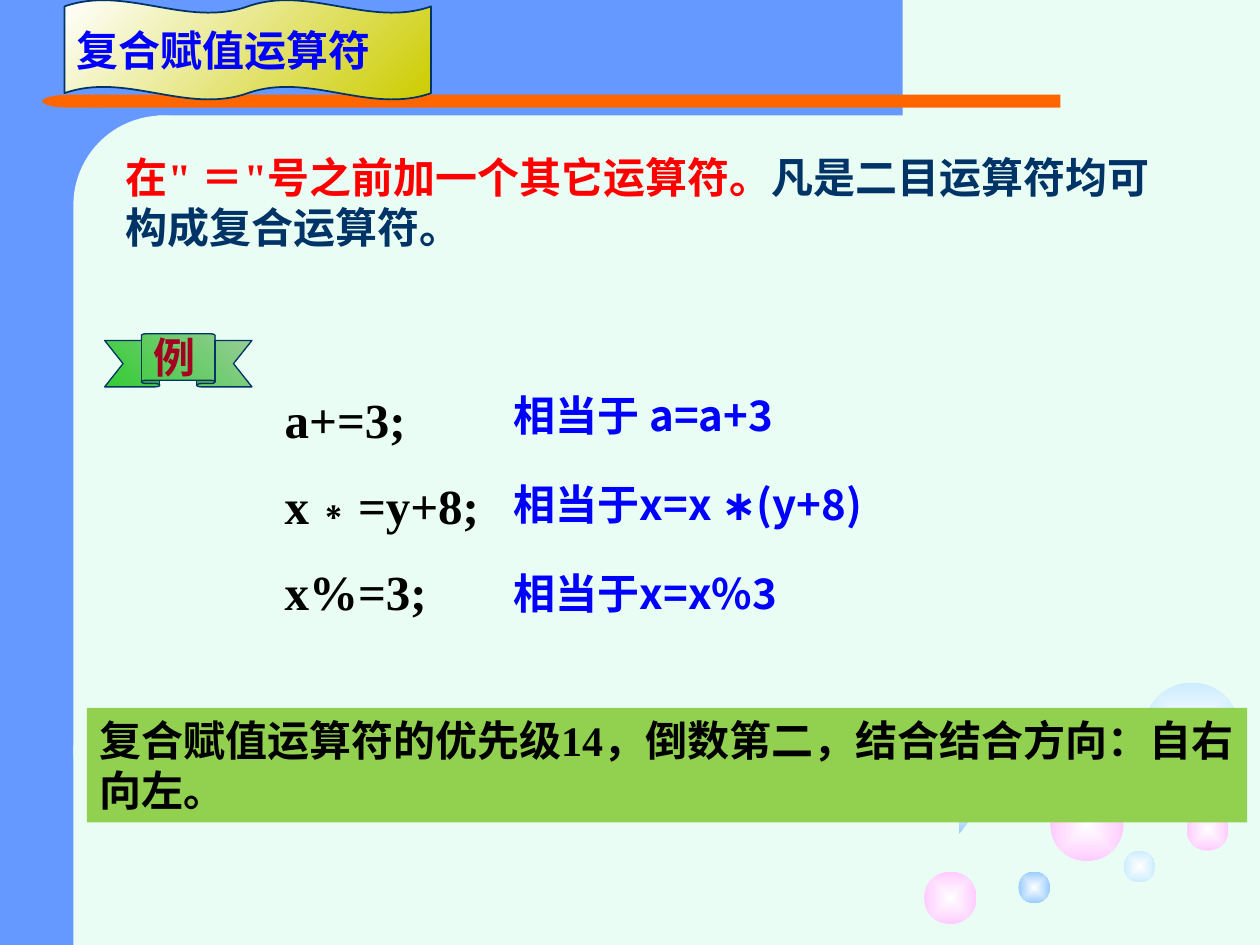
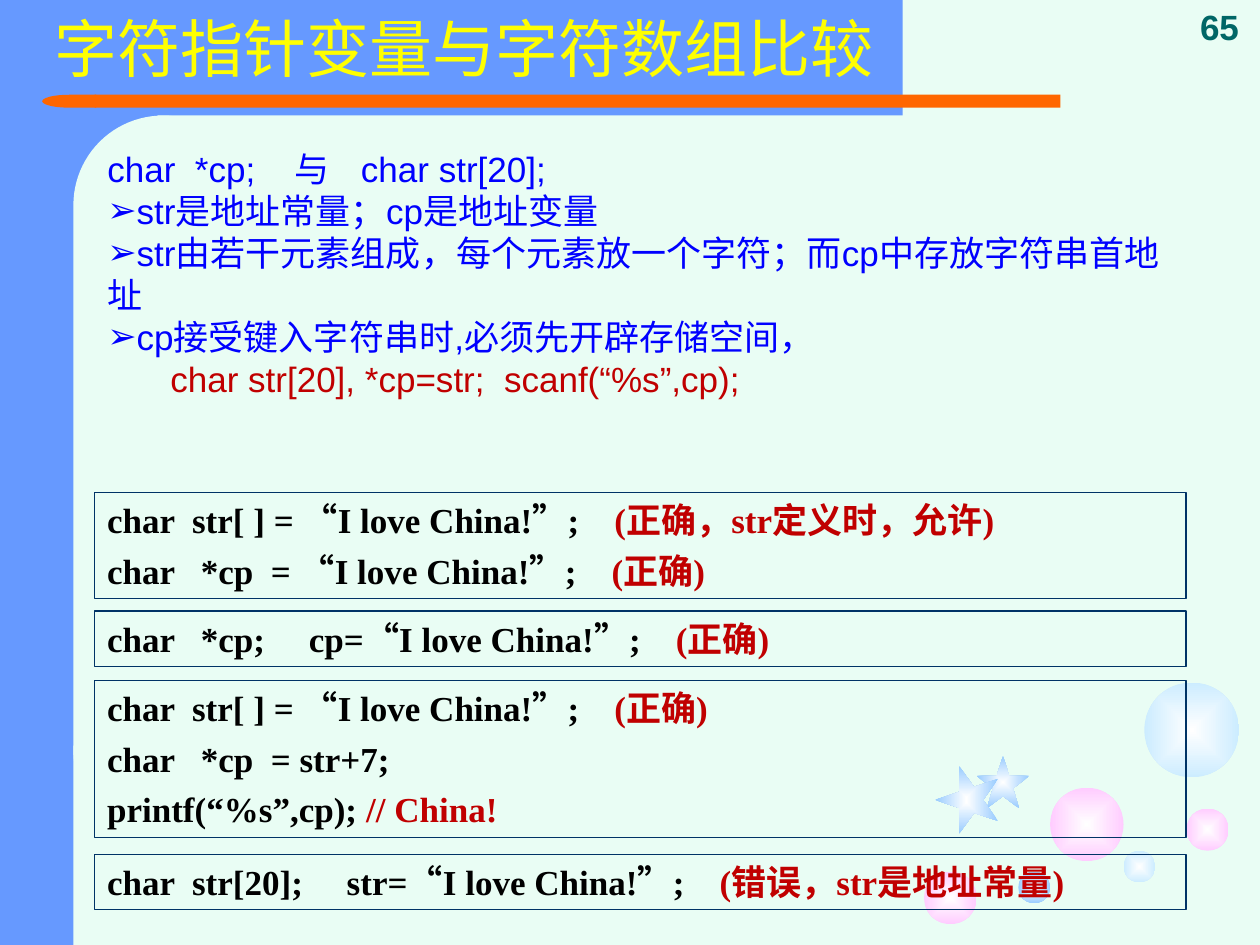
from dataclasses import dataclass

from lxml.etree import SubElement
from pptx import Presentation
from pptx.dml.color import RGBColor
from pptx.enum.shapes import MSO_SHAPE
from pptx.enum.text import MSO_ANCHOR, MSO_AUTO_SIZE, PP_ALIGN
from pptx.oxml.ns import qn
from pptx.util import Cm, Pt


@dataclass(frozen=True)
class TextStyle:
    """Type settings for one kind of text."""
    font: str
    size: int
    colour: str
    bold: bool = True
    gap: float = 0
    line_spacing: float = 1.0
    align: PP_ALIGN = PP_ALIGN.LEFT


class Theme:
    """Colours and type styles of the deck."""
    MINT, BLUE, ORANGE = "E9FDF4", "6699FF", "FF6600"
    WHITE, PINK, PALE, SKY = "FFFFFF", "FFCCFF", "CCECFF", "99CCFF"
    NAVY, RED, DARK_RED = "003366", "FF0000", "C00000"
    GOLD, LEAF, SAGE, LIME = "CCCC00", "33CC33", "99CC99", "92D050"

    TITLE = TextStyle("Arial", 36, "FFFF00", bold=False, line_spacing=0.9)
    BODY = TextStyle("Arial", 20, "0000FF", bold=False)
    NUMBER = TextStyle("Arial", 20, "006666", align=PP_ALIGN.CENTER)
    INTRO = TextStyle("Times New Roman", 24, NAVY)
    BANNER = TextStyle("Times New Roman", 24, "0000FF")
    RIBBON = TextStyle("Lato", 24, "A50021")
    STATEMENT = TextStyle("Times New Roman", 28, "000000", gap=15.5)
    MEANING = TextStyle("Noto Sans CJK SC", 24, "0000FF")
    NOTE = TextStyle("Times New Roman", 24, "000000")
    CODE = TextStyle("Times New Roman", 20, "000000", gap=4.8)


def lengths(box):
    """Turn a box in centimetres into lengths."""
    return [Cm(value) for value in box]


def offset(box, left, top, width, height):
    """Return a part's box placed relative to the corner of another box."""
    return box[0] + left, box[1] + top, width, height


def add_shape(slide, kind, box, fill=None, line=None, line_width=0.75):
    """Add a flat preset shape with an optional fill and outline."""
    shape = slide.shapes.add_shape(kind, *lengths(box))
    shape.shadow.inherit = False
    if fill:
        shape.fill.solid()
        shape.fill.fore_color.rgb = RGBColor.from_string(fill)
    else:
        shape.fill.background()
    if line:
        shape.line.color.rgb = RGBColor.from_string(line)
        shape.line.width = Pt(line_width)
    else:
        shape.line.fill.background()
    return shape


def fill_gradient(shape, start, end, angle=0):
    """Fill a shape with a linear gradient of two colours."""
    shape.fill.gradient()
    shape.fill.gradient_angle = angle
    for stop, colour in zip(shape.fill.gradient_stops, (start, end)):
        stop.color.rgb = RGBColor.from_string(colour)


def fill_glow(shape, colour):
    """Fill a shape with white that deepens to a colour at its edge."""
    fill_gradient(shape, Theme.WHITE, colour)
    gradient = shape.element.spPr.find(qn("a:gradFill"))
    gradient.remove(gradient.find(qn("a:lin")))
    centre = SubElement(gradient, qn("a:path"), {"path": "shape"})
    SubElement(centre, qn("a:fillToRect"), dict.fromkeys("ltrb", "50000"))


def write(frame, paragraphs, style, anchor=MSO_ANCHOR.TOP):
    """Write paragraphs, each a list of strings or (string, colour) pairs."""
    frame.word_wrap = True
    frame.auto_size = MSO_AUTO_SIZE.NONE
    frame.vertical_anchor = anchor
    for index, runs in enumerate(paragraphs):
        paragraph = frame.add_paragraph() if index else frame.paragraphs[0]
        paragraph.alignment = style.align
        paragraph.line_spacing = style.line_spacing
        paragraph.space_before = Pt(style.gap if index else 0)
        font = paragraph.font
        font.name, font.size, font.bold = style.font, Pt(style.size), style.bold
        font.color.rgb = RGBColor.from_string(style.colour)
        for part in runs:
            text, colour = (part, None) if isinstance(part, str) else part
            run = paragraph.add_run()
            run.text = text
            if colour:
                run.font.color.rgb = RGBColor.from_string(colour)


def add_text(slide, box, paragraphs, style, anchor=MSO_ANCHOR.TOP):
    """Add a text box."""
    text_box = slide.shapes.add_textbox(*lengths(box))
    write(text_box.text_frame, paragraphs, style, anchor)


def fill_placeholder(shape, box, paragraphs, style):
    """Move a placeholder and write its text."""
    shape.left, shape.top, shape.width, shape.height = lengths(box)
    write(shape.text_frame, paragraphs, style, MSO_ANCHOR.MIDDLE)


def set_bullet(paragraph, symbol=None, margin=0):
    """Give a paragraph a bullet symbol, or none, and a left margin."""
    properties = paragraph._p.get_or_add_pPr()
    properties.set("marL", str(Cm(margin)))
    properties.set("indent", "0")
    bullet = properties.makeelement(qn("a:buChar" if symbol else "a:buNone"), {})
    if symbol:
        bullet.set("char", symbol)
    properties.find(qn("a:defRPr")).addprevious(bullet)


def draw_frame(slide, box):
    """Draw the blue corner bands and the orange rule."""
    rectangle, rounded = MSO_SHAPE.RECTANGLE, MSO_SHAPE.ROUNDED_RECTANGLE
    for kind, part, colour in (
        (rectangle, (0, 0, 3.18, 19.05), Theme.BLUE),
        (rectangle, (1.27, 0, 16.93, 2.33), Theme.BLUE),
        (rounded, (1.48, 2.33, 3.61, 14.61), Theme.MINT),
        (rectangle, (1.91, 1.91, 19.47, 0.26), Theme.ORANGE),
        (MSO_SHAPE.FLOWCHART_DELAY, (0.85, 1.91, 1.09, 0.26), Theme.ORANGE),
        (rectangle, (1.48, 15.03, 3.61, 4.02), Theme.MINT),
    ):
        shape = add_shape(slide, kind, offset(box, *part), colour)
        if kind == rounded:
            shape.adjustments[0] = 0.5
        elif kind == MSO_SHAPE.FLOWCHART_DELAY:
            shape.rotation = 180


def draw_bubbles(slide, box):
    """Draw the cluster of bubbles and stars."""
    for left, top, size, colour in (
        (2.54, 2.12, 1.48, Theme.PINK),
        (0, 3.81, 1.06, Theme.PINK),
        (4.02, 3.39, 0.64, Theme.PALE),
        (5.29, 2.54, 0.85, Theme.PINK),
        (4.44, 0, 1.91, Theme.PALE),
        (1.9, 3.81, 0.64, Theme.SKY),
    ):
        bubble = add_shape(slide, MSO_SHAPE.OVAL, offset(box, left, top, size, size))
        fill_glow(bubble, colour)
    for part, rotation in (((1.06, 1.48, 1.06, 1.06), 0), ((0.17, 1.73, 1.37, 1.27), 270)):
        star = add_shape(slide, MSO_SHAPE.STAR_5_POINT, offset(box, *part))
        star.rotation = rotation
        fill_glow(star, Theme.SKY)


def move_to_master(slide, master):
    """Move all shapes of a slide behind the placeholders of the master."""
    tree = master.shapes.element
    for index, shape in enumerate(list(slide.shapes)):
        shape.element.nvSpPr.cNvPr.set("id", str(100 + index))
        tree.insert(2 + index, shape.element)


def draw_banner(slide, box, text):
    """Draw the wavy heading banner."""
    wave = add_shape(slide, MSO_SHAPE.DOUBLE_WAVE, box, line=Theme.NAVY, line_width=1)
    wave.adjustments[0] = 0.065
    fill_gradient(wave, Theme.WHITE, Theme.GOLD, 315)
    write(wave.text_frame, [[text]], Theme.BANNER, MSO_ANCHOR.MIDDLE)


def draw_ribbon(slide, box, text):
    """Draw the green ribbon that marks an example."""
    ribbon = add_shape(slide, MSO_SHAPE.UP_RIBBON, box, line=Theme.NAVY)
    ribbon.adjustments[0], ribbon.adjustments[1] = 0.125, 0.5
    fill_gradient(ribbon, Theme.LEAF, Theme.SAGE, 45)
    write(ribbon.text_frame, [[text]], Theme.RIBBON, MSO_ANCHOR.MIDDLE)


def draw_examples(slide, box, examples):
    """Set statements on the left and their meanings on the right."""
    statements = [[statement] for statement, _ in examples]
    add_text(slide, offset(box, 0, 0, 5.13, 5), statements, Theme.STATEMENT)
    for row, (_, meaning) in enumerate(examples):
        part = offset(box, 4.62, 1.8 * row, 9.4, 1.27)
        add_text(slide, part, [[meaning]], Theme.MEANING)


def draw_code_boxes(slide, box, snippets):
    """Draw outlined code boxes whose height follows their line count."""
    for top, lines in snippets:
        part = offset(box, 0, top, box[2], 1.12 + 1.02 * (len(lines) - 1))
        shape = add_shape(slide, MSO_SHAPE.RECTANGLE, part, line=Theme.NAVY)
        write(shape.text_frame, lines, Theme.CODE)


def build_operator_slide(slide):
    """Fill the slide on compound assignment operators."""
    intro = [("在\" ＝\"号之前加一个其它运算符。", Theme.RED), "凡是二目运算符均可构成复合运算符。"]
    add_text(slide, (2.29, 2.92, 21.41, 2.31), [intro], Theme.INTRO)
    draw_banner(slide, (1.3, 0, 7.39, 2.01), "复合赋值运算符")
    draw_ribbon(slide, (2.11, 6.73, 2.97, 1.07), "例")
    draw_examples(slide, (5.49, 7.72, 14.02, 5), (
        ("a+=3;", "相当于 a=a+3"),
        ("x∗=y+8;", "相当于x=x ∗(y+8)"),
        ("x%=3;", "相当于x=x%3"),
    ))
    note = add_shape(slide, MSO_SHAPE.RECTANGLE, (1.75, 14.27, 23.39, 2.31), Theme.LIME)
    text = "复合赋值运算符的优先级14，倒数第二，结合结合方向：自右向左。"
    write(note.text_frame, [[text]], Theme.NOTE)


def build_pointer_slide(slide):
    """Fill the slide comparing character pointers and arrays."""
    title, body = slide.placeholders
    fill_placeholder(title, (0.84, 0, 21.39, 2.11), [["字符指针变量与字符数组比较"]], Theme.TITLE)
    fill_placeholder(body, (1.91, 2.51, 22, 6), [
        ["char  *cp;    与    char str[20];"],
        ["str是地址常量；cp是地址变量"],
        ["str由若干元素组成，每个元素放一个字符；而cp中存放字符串首地址"],
        ["cp接受键入字符串时,必须先开辟存储空间，"],
        [("char str[20], *cp=str;  scanf(“%s”,cp);", Theme.DARK_RED)],
    ], Theme.BODY)
    heading, *points, sample = body.text_frame.paragraphs
    set_bullet(heading)
    for point in points:
        set_bullet(point, "➢")
    sample.level = 1
    set_bullet(sample, margin=1.27)
    add_text(slide, (23.77, 0, 1.63, 1.09), [["65"]], Theme.NUMBER, MSO_ANCHOR.BOTTOM)
    correct = ("(正确)", Theme.DARK_RED)
    array = "char  str[ ] = “I love China!”;    "
    draw_code_boxes(slide, (1.91, 9.93, 22, 8.41), (
        (0, [[array, ("(正确，str定义时，允许)", Theme.DARK_RED)],
             ["char   *cp  = “I love China!”;    ", correct]]),
        (2.39, [["char   *cp;     cp=“I love China!”;    ", correct]]),
        (3.79, [[array, correct],
                ["char   *cp  = str+7;"],
                ["printf(“%s”,cp); ", ("// China!", Theme.DARK_RED)]]),
        (7.29, [["char  str[20];     str=“I love China!”;    ",
                 ("(错误，str是地址常量)", Theme.DARK_RED)]]),
    ))


def main():
    """Build and save the presentation."""
    presentation = Presentation()
    presentation.slide_width, presentation.slide_height = Cm(25.4), Cm(19.05)
    master = presentation.slide_master
    master.background.fill.solid()
    master.background.fill.fore_color.rgb = RGBColor.from_string(Theme.MINT)
    operators = presentation.slides.add_slide(presentation.slide_layouts[6])
    draw_frame(operators, (0, 0, 25.4, 19.05))
    draw_bubbles(operators, (18.63, 13.76, 6.35, 4.87))
    move_to_master(operators, master)
    build_operator_slide(operators)
    build_pointer_slide(presentation.slides.add_slide(presentation.slide_layouts[1]))
    presentation.save("out.pptx")


if __name__ == "__main__":
    main()
